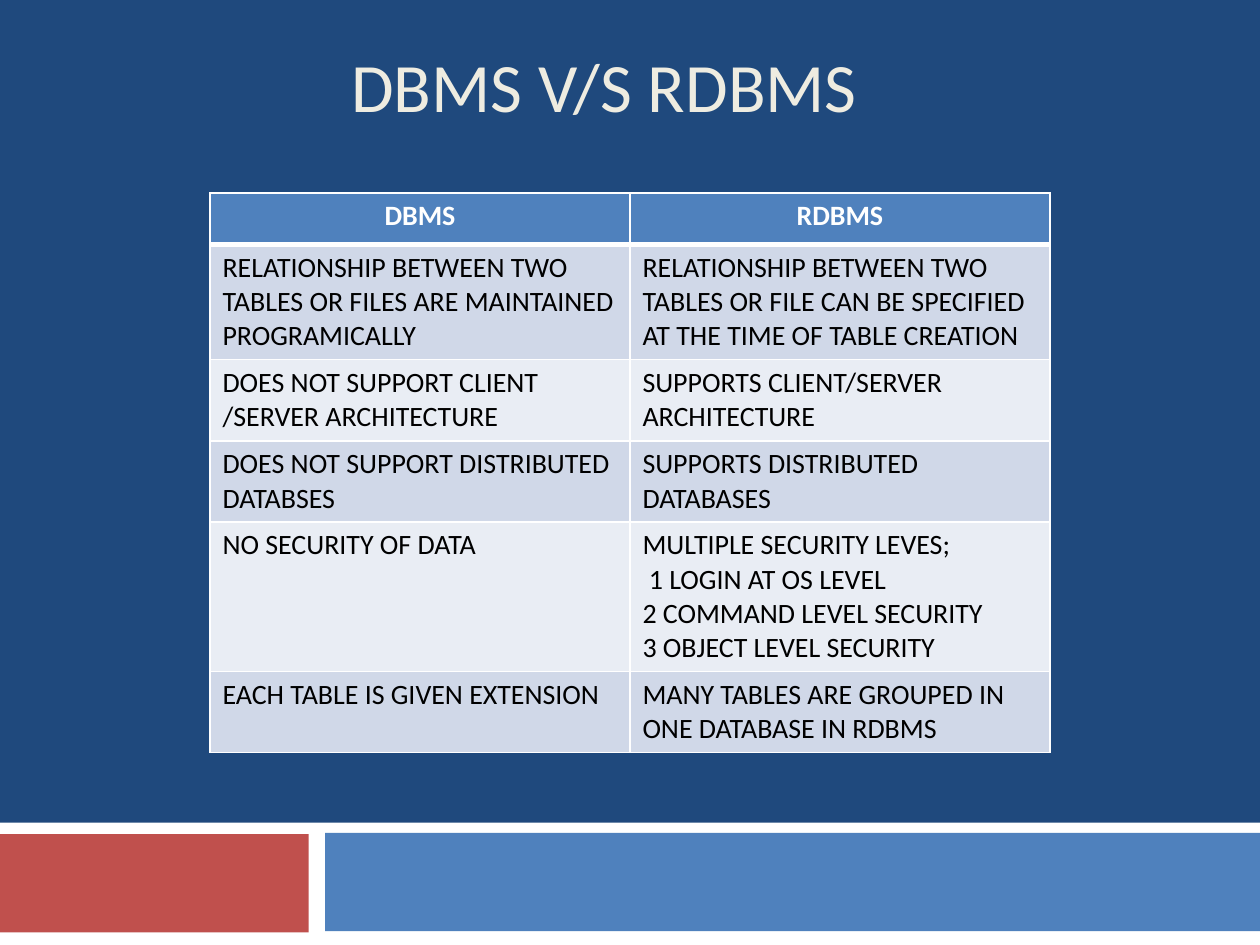
"""Build a slide that compares DBMS with RDBMS in a table."""
from lxml import etree
from pptx import Presentation
from pptx.dml.color import RGBColor
from pptx.enum.shapes import MSO_SHAPE
from pptx.enum.text import MSO_ANCHOR, MSO_AUTO_SIZE, PP_ALIGN
from pptx.oxml.ns import qn
from pptx.util import Inches, Pt

RECTANGLE = MSO_SHAPE.RECTANGLE
BOTTOM = MSO_ANCHOR.BOTTOM
NO_AUTOFIT = MSO_AUTO_SIZE.NONE
LEFT, CENTER = PP_ALIGN.LEFT, PP_ALIGN.CENTER
TITLE_ONLY = 5
FONT = "Calibri"
WIDTH, HEIGHT = 10, 7.5
COLORS = {
    "background": "1F497D",
    "title": "EEECE1",
    "white": "FFFFFF",
    "black": "000000",
    "red": "C0504D",
    "blue": "4F81BD",
    "dark band": "D0D8E8",
    "light band": "E9EDF4",
}
FOOTER_BLOCKS = [
    ("white", 0, 6.53, WIDTH, 0.97),
    ("red", -0.01, 6.62, 2.46, 0.78),
    ("blue", 2.58, 6.61, 7.42, 0.78),
]
COMPARISON = [
    ("DBMS", "RDBMS"),
    ("RELATIONSHIP BETWEEN TWO TABLES OR FILES ARE MAINTAINED PROGRAMICALLY",
     "RELATIONSHIP BETWEEN TWO TABLES OR FILE CAN BE SPECIFIED AT THE TIME OF TABLE CREATION"),
    ("DOES NOT SUPPORT CLIENT /SERVER ARCHITECTURE",
     "SUPPORTS CLIENT/SERVER ARCHITECTURE"),
    ("DOES NOT SUPPORT DISTRIBUTED DATABSES",
     "SUPPORTS DISTRIBUTED DATABASES"),
    ("NO SECURITY OF DATA",
     "MULTIPLE SECURITY LEVES;\n 1 LOGIN AT OS LEVEL\n"
     "2 COMMAND LEVEL SECURITY\n3 OBJECT LEVEL SECURITY"),
    ("EACH TABLE IS GIVEN EXTENSION",
     "MANY TABLES ARE GROUPED IN ONE DATABASE IN RDBMS"),
]


def color(name):
    return RGBColor.from_string(COLORS[name])


def paint(fill, name):
    fill.solid()
    fill.fore_color.rgb = color(name)


def write(frame, text, size=16, ink="black", bold=False, align=LEFT):
    frame.text = text
    for para in frame.paragraphs:
        para.alignment = align
        for span in para.runs:
            span.font.name = FONT
            span.font.size = Pt(size)
            span.font.bold = bold
            span.font.color.rgb = color(ink)


def add_block(page, name, left, top, width, height):
    block = page.shapes.add_shape(
        RECTANGLE, Inches(left), Inches(top), Inches(width), Inches(height))
    block.shadow.inherit = False
    block.line.fill.background()
    paint(block.fill, name)


def add_title(page, text):
    title = page.shapes.title
    title.left, title.top = Inches(0.5), Inches(0.33)
    title.width, title.height = Inches(8.59), Inches(0.67)
    frame = title.text_frame
    frame.auto_size = NO_AUTOFIT
    frame.vertical_anchor = BOTTOM
    frame.margin_top = frame.margin_bottom = 0
    write(frame, text, size=39.6, ink="title", align=CENTER)


def add_borders(cell, **points):
    properties = cell._tc.get_or_add_tcPr()
    for side in "LRTB":
        line = etree.SubElement(properties, qn(f"a:ln{side}"),
                                w=str(Pt(points.get(side, 1))))
        fill = etree.SubElement(line, qn("a:solidFill"))
        etree.SubElement(fill, qn("a:srgbClr"), val=COLORS["white"])


def add_comparison(page, rows):
    width = WIDTH * 2 / 3
    table = page.shapes.add_table(
        len(rows), len(rows[0]), Inches((WIDTH - width) / 2), Inches(1.53),
        Inches(width), Inches(0.41 * len(rows))).table
    table.first_row = table.horz_banding = False
    for row, texts in enumerate(rows):
        for column, text in enumerate(texts):
            cell = table.cell(row, column)
            if row == 0:
                write(cell.text_frame, text, ink="white", bold=True, align=CENTER)
                add_borders(cell, B=3)
                paint(cell.fill, "blue")
            else:
                write(cell.text_frame, text)
                add_borders(cell, T=3 if row == 1 else 1)
                paint(cell.fill, "dark band" if row % 2 else "light band")


def main():
    deck = Presentation()
    deck.slide_width, deck.slide_height = Inches(WIDTH), Inches(HEIGHT)
    page = deck.slides.add_slide(deck.slide_layouts[TITLE_ONLY])
    paint(page.background.fill, "background")
    for block in FOOTER_BLOCKS:
        add_block(page, *block)
    add_title(page, "DBMS V/S RDBMS")
    add_comparison(page, COMPARISON)
    deck.save("out.pptx")


if __name__ == "__main__":
    main()
